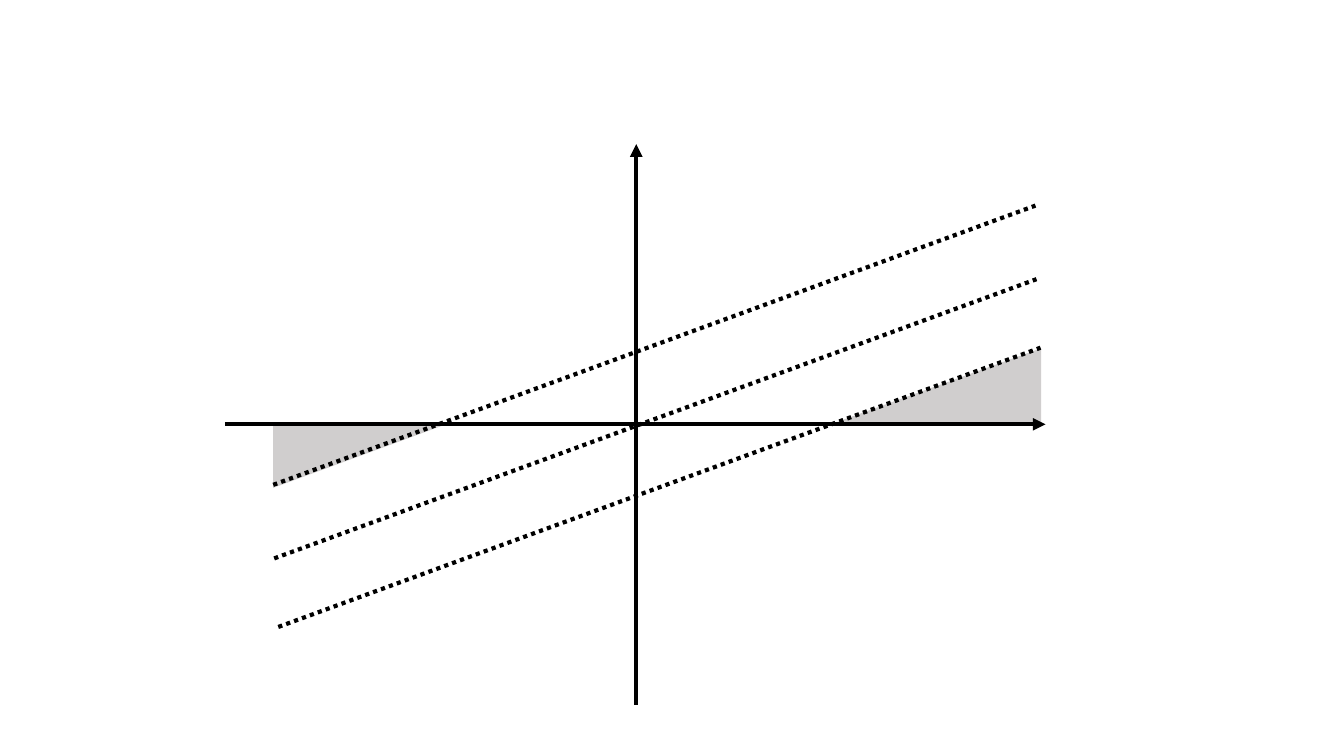
import pptx
import pptx.util
import pptx.dml.color
import pptx.enum.dml
import pptx.enum.shapes
import pptx.oxml
import pptx.oxml.ns
from pptx.util import Inches

BLACK = pptx.dml.color.RGBColor(0x00, 0x00, 0x00)
GREY = pptx.dml.color.RGBColor(0xD0, 0xCE, 0xCE)

# Left, top, width, height before turning, then the turn in degrees
shaded_regions = [
    (8.95, 2.81, 0.73, 2.02, 270),
    (3.26, 3.65, 0.64, 1.74, 90),
]
# Start, end, and which end carries the arrowhead
axes = [
    ((2.23, 4.21), (10.37, 4.21), "tailEnd"),
    ((6.31, 1.43), (6.31, 6.99), "headEnd"),
]
# The parallel lines share one run and rise; only the lower left end differs
line_starts = [(2.71, 4.81), (2.72, 5.54), (2.76, 6.22)]
LINE_RUN, LINE_RISE = 7.56, 2.77


def add_line(slide, start, end, dash=None, arrow_end=None):
    """Draw a black straight line, dashed or with an arrowhead if asked."""
    connector = slide.shapes.add_connector(
        pptx.enum.shapes.MSO_CONNECTOR.STRAIGHT, *map(Inches, start + end))
    connector.line.color.rgb = BLACK
    line_format = {"width": pptx.util.Pt(3), "dash_style": dash}
    for attribute, value in line_format.items():
        setattr(connector.line, attribute, value)
    properties = connector._element.spPr
    if arrow_end:
        arrowhead = pptx.oxml.parse_xml(
            f'<a:{arrow_end} {pptx.oxml.ns.nsdecls("a")} type="triangle"/>')
        properties.find(pptx.oxml.ns.qn("a:ln")).append(arrowhead)
    properties.append(pptx.oxml.parse_xml(
        f'<a:effectLst {pptx.oxml.ns.nsdecls("a")}/>'))


def add_region(slide, left, top, width, height, turn):
    region = slide.shapes.add_shape(
        pptx.enum.shapes.MSO_SHAPE.RIGHT_TRIANGLE,
        *map(Inches, (left, top, width, height)))
    region.rotation = turn
    region.shadow.inherit = False
    region.fill.solid()
    region.fill.fore_color.rgb = GREY
    region.line.fill.background()


def main():
    deck = pptx.Presentation()
    deck.slide_width, deck.slide_height = Inches(13.33), Inches(7.5)
    slide = deck.slides.add_slide(deck.slide_layouts[6])
    for region in shaded_regions:
        add_region(slide, *region)
    for start, end, arrow_end in axes:
        add_line(slide, start, end, arrow_end=arrow_end)
    for x, y in line_starts:
        add_line(slide, (x, y), (x + LINE_RUN, y - LINE_RISE),
                 dash=pptx.enum.dml.MSO_LINE.ROUND_DOT)
    deck.save("out.pptx")


if __name__ == "__main__":
    main()
